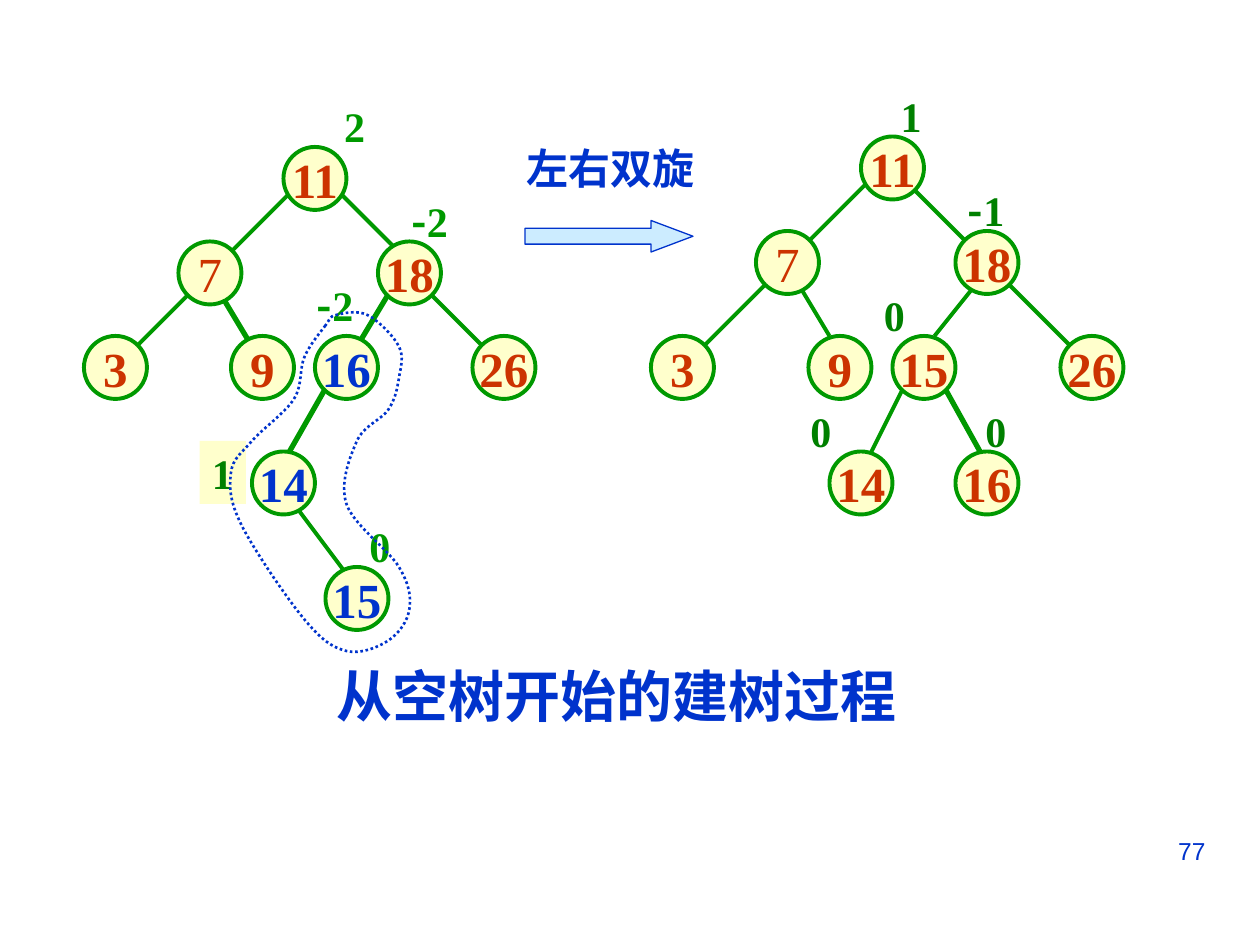
import pptx
import pptx.util
import pptx.dml.color
import pptx.enum.dml
import pptx.enum.shapes
import pptx.enum.text
import pptx.oxml.ns
import pptx.oxml.xmlchemy

Pt = pptx.util.Pt
RGBColor = pptx.dml.color.RGBColor
Shape = pptx.enum.shapes.MSO_SHAPE
Align = pptx.enum.text.PP_ALIGN
Anchor = pptx.enum.text.MSO_ANCHOR
qn = pptx.oxml.ns.qn
make = pptx.oxml.xmlchemy.OxmlElement

BLUE = RGBColor(0x00, 0x33, 0xCC)
GREEN = RGBColor(0x00, 0x99, 0x00)
DARK = RGBColor(0x00, 0x80, 0x00)
RED = RGBColor(0xCC, 0x33, 0x00)
CREAM = RGBColor(0xFF, 0xFF, 0xCC)
SKY = RGBColor(0xCC, 0xEC, 0xFF)
SERIF = "Times New Roman"
HAN = "Noto Sans CJK SC"
NODE = 36

LEFT = {
    "edges": [(144, 54, 180, 90, 2.25), (138, 168, 114, 210, 3), (78, 114, 96, 144, 3),
              (174, 114, 156, 144, 3), (120, 234, 156, 282, 2.25), (198, 114, 234, 150, 2.25),
              (66, 108, 18, 156, 2.25), (126, 48, 84, 90, 2.25)],
    "nodes": [("11", 114, 30, RED), ("7", 54, 84, RED), ("18", 168, 84, RED),
              ("3", 0, 138, RED), ("9", 84, 138, RED), ("16", 132, 138, BLUE),
              ("26", 222, 138, RED), ("14", 96, 204, BLUE), ("15", 138, 270, BLUE)],
    "marks": [("2", 141.5, 0, GREEN), ("-2", 180, 54, GREEN), ("-2", 126, 102, GREEN),
              ("1", 66, 198, DARK), ("0", 156, 240, GREEN)],
}
RIGHT = {
    "edges": [(186, 114, 162, 144, 2.25), (150, 60, 186, 96, 2.25), (126, 54, 84, 96, 2.25),
              (168, 174, 198, 228, 3), (84, 114, 102, 144, 2.25), (144, 174, 120, 222, 2.25),
              (66, 114, 30, 150, 2.25), (204, 114, 258, 168, 2.25)],
    "nodes": [("11", 120, 30, RED), ("7", 60, 84, RED), ("18", 174, 84, RED),
              ("3", 0, 144, RED), ("9", 90, 144, RED), ("15", 138, 144, RED),
              ("26", 234, 144, RED), ("14", 102, 210, RED), ("16", 174, 210, RED)],
    "marks": [("1", 135.5, 0, DARK), ("-1", 174, 54, DARK), ("0", 126, 114, DARK),
              ("0", 84, 180, DARK), ("0", 184, 180, DARK)],
}
KNOTS = [(138, 132), (126, 150), (120, 174), (96, 198), (84, 216), (90, 246), (126, 300),
         (150, 318), (174, 312), (186, 294), (180, 270), (150, 234), (156, 198), (174, 180),
         (180, 162), (180, 144), (162, 126), (144, 126)]


def write(shape, text, size, color, bold=True, face=SERIF, align=Align.LEFT):
    """Set one line of text, with a leading minus in its own face."""
    frame = shape.text_frame
    frame.word_wrap = align == Align.RIGHT
    line = frame.paragraphs[0]
    line.alignment = align
    for part in (["-", text[1:]] if text.startswith("-") else [text]):
        run = line.add_run()
        run.text = part
        font = run.font
        font.size, font.bold = Pt(size), bold
        font.name = HAN if part == "-" else face
        font.color.rgb = color
        east = make("a:ea")
        east.set("typeface", HAN)
        run._r.rPr.find(qn("a:latin")).addnext(east)


def paint(shape, fill, line, width):
    """Give a shape a plain fill and outline."""
    shape.shadow.inherit = False
    shape.fill.solid()
    shape.fill.fore_color.rgb = fill
    shape.line.color.rgb = line
    shape.line.width = Pt(width)


def label(slide, text, x, y, w, h, size, color, **style):
    """Add a text box."""
    box = slide.shapes.add_textbox(Pt(x), Pt(y), Pt(w), Pt(h))
    write(box, text, size, color, **style)
    return box


def tree(slide, x, y, data):
    """Draw a search tree with its edges, nodes and balance marks."""
    for x1, y1, x2, y2, width in data["edges"]:
        edge = slide.shapes.add_connector(
            pptx.enum.shapes.MSO_CONNECTOR.STRAIGHT,
            Pt(x + x1), Pt(y + y1), Pt(x + x2), Pt(y + y2))
        edge.line.color.rgb = GREEN
        edge.line.width = Pt(width)
        edge._element.spPr.append(make("a:effectLst"))
    for text, dx, dy, color in data["nodes"]:
        node = slide.shapes.add_shape(Shape.OVAL, Pt(x + dx), Pt(y + dy), Pt(NODE), Pt(NODE))
        paint(node, CREAM, GREEN, 2.25)
        node.text_frame.vertical_anchor = Anchor.MIDDLE
        write(node, text, 28, color, bold=text != "7", align=Align.CENTER)
    for text, dx, dy, color in data["marks"]:
        mark = label(slide, text, x + dx, y + dy, 38 if len(text) > 1 else 26.5, 36, 24, color)
        if data is LEFT and text == "1":
            mark.fill.solid()
            mark.fill.fore_color.rgb = CREAM


def loop(slide, x, y):
    """Draw the dotted smooth loop around the nodes that turn."""
    spots = [(Pt(x + dx), Pt(y + dy)) for dx, dy in KNOTS]
    pen = slide.shapes.build_freeform(*spots[0])
    pen.add_line_segments(spots[1:] + spots[:1], close=True)
    curve = pen.convert_to_shape()
    curve.shadow.inherit = False
    curve.fill.background()
    curve.line.color.rgb = BLUE
    curve.line.width = Pt(1.5)
    curve.line.dash_style = pptx.enum.dml.MSO_LINE.ROUND_DOT
    left, top = curve.left, curve.top
    count = len(spots)
    for i, step in enumerate(curve._element.findall(".//" + qn("a:lnTo"))):
        a, b, c, d = (spots[(i + k) % count] for k in (-1, 0, 1, 2))
        first = [q + (r - p) / 6 for p, q, r in zip(a, b, c)]
        second = [q - (r - p) / 6 for p, q, r in zip(b, c, d)]
        bend = make("a:cubicBezTo")
        for px, py in (first, second, c):
            point = make("a:pt")
            point.set("x", str(round(px - left)))
            point.set("y", str(round(py - top)))
            bend.append(point)
        step.getparent().replace(step, bend)


def turn(slide, x, y):
    """Name the rotation above its arrow."""
    label(slide, "左右双旋", x, y, 111.5, 36, 24, BLUE)
    arrow = slide.shapes.add_shape(Shape.RIGHT_ARROW, Pt(x + 6), Pt(y + 48), Pt(96), Pt(18))
    arrow.adjustments[0], arrow.adjustments[1] = 0.5, 1.33
    paint(arrow, SKY, BLUE, 0.75)


def title(slide, x, y, w, h):
    """Place the slide's title."""
    head = slide.shapes.title
    head.left, head.top, head.width, head.height = Pt(x), Pt(y), Pt(w), Pt(h)
    head.text_frame.auto_size = pptx.enum.text.MSO_AUTO_SIZE.NONE
    head.text_frame.vertical_anchor = Anchor.TOP
    write(head, "从空树开始的建树过程", 32, BLUE)


def main():
    """Build and save the slide."""
    deck = pptx.Presentation()
    deck.slide_width, deck.slide_height = Pt(720), Pt(540)
    slide = deck.slides.add_slide(deck.slide_layouts[5])
    title(slide, 185, 374.5, 337, 45.5)
    turn(slide, 294, 78)
    tree(slide, 372, 48, RIGHT)
    tree(slide, 48, 54, LEFT)
    loop(slide, 48, 54)
    label(slide, "77", 516, 474, 180, 37.5, 14, BLUE, bold=False, face="Arial", align=Align.RIGHT)
    deck.save("out.pptx")


if __name__ == "__main__":
    main()
